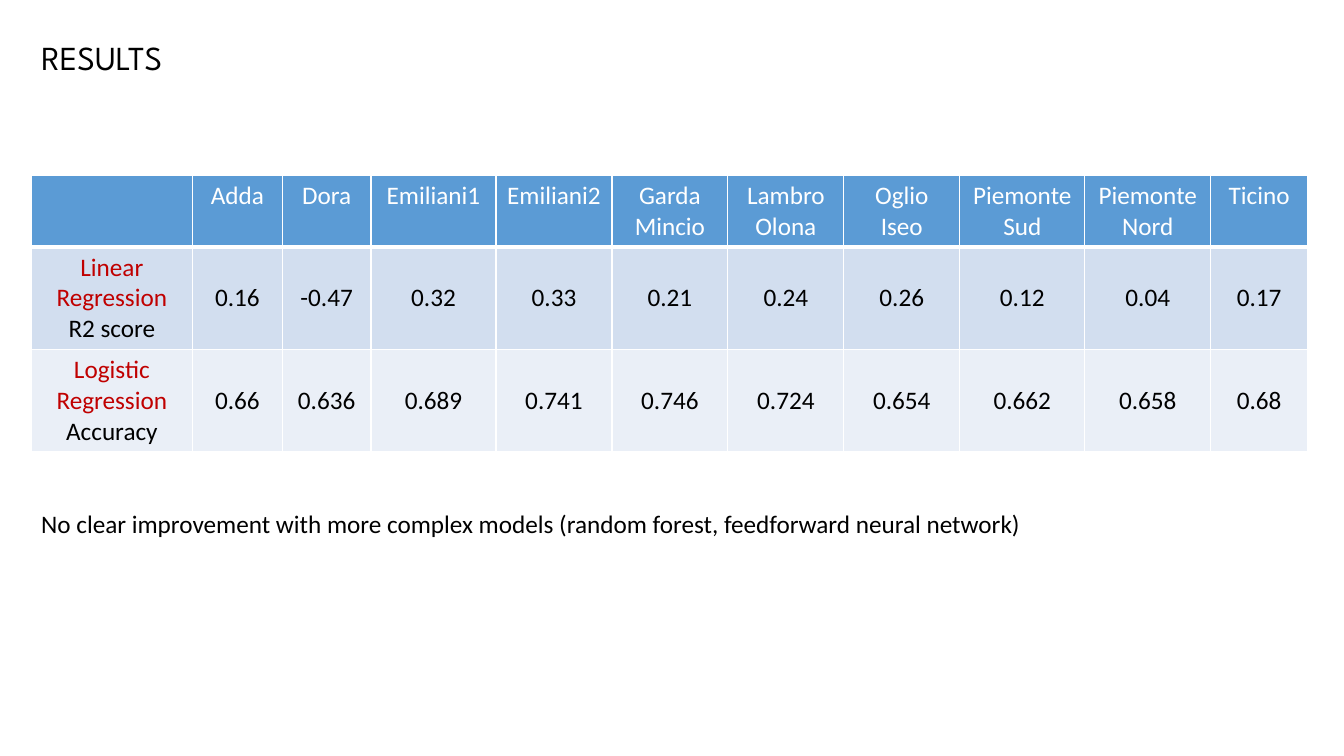
from lxml.etree import SubElement
from pptx import Presentation
from pptx.dml.color import RGBColor as RGB
from pptx.enum.text import MSO_ANCHOR as ANCHOR, MSO_AUTO_SIZE as AUTO, PP_ALIGN as ALIGN
from pptx.oxml.ns import qn
from pptx.util import Inches, Pt

COLORS = {"header": "5B9BD5", "band1": "D2DEEF", "band2": "EAEFF7",
          "model": "C00000", "text": "000000", "white": "FFFFFF"}
BODY_FONT, TITLE_FONT = "Calibri", "League Spartan"
LEFT = 0.31

COL_WIDTHS = [1.6, 0.89, 0.88, 1.24, 1.15, 1.15, 1.15, 1.15, 1.24, 1.25, 0.96]
ROW_HEIGHTS = [0.71, 0.99, 0.99]
BASINS = [["Adda"], ["Dora"], ["Emiliani1"], ["Emiliani2"], ["Garda", "Mincio"],
          ["Lambro", "Olona"], ["Oglio", "Iseo"], ["Piemonte Sud"],
          ["Piemonte Nord"], ["Ticino"]]
MODELS = [
    (["Linear", "Regression", "R2 score"],
     ["0.16", "-0.47", "0.32", "0.33", "0.21", "0.24", "0.26", "0.12", "0.04", "0.17"]),
    (["Logistic", "Regression", "Accuracy"],
     ["0.66", "0.636", "0.689", "0.741", "0.746", "0.724", "0.654", "0.662", "0.658", "0.68"]),
]


def add_run(p, text, color="text", size=18, font=BODY_FONT):
    r = p.add_run()
    r.text = text
    r.font.name, r.font.size, r.font.bold = font, Pt(size), False
    r.font.color.rgb = RGB.from_string(COLORS[color])


def set_borders(cell, bottom=1):
    tc_pr = cell._tc.get_or_add_tcPr()
    for side, width in (("L", 1), ("R", 1), ("T", 1), ("B", bottom)):
        ln = SubElement(tc_pr, qn(f"a:ln{side}"), w=str(Pt(width)))
        fill = SubElement(ln, qn("a:solidFill"))
        SubElement(fill, qn("a:srgbClr"), val=COLORS["white"])


def fill_cell(cell, lines, fill, colors, anchor=ANCHOR.MIDDLE, bottom=1):
    """Write one centred paragraph per line, each in its own colour."""
    set_borders(cell, bottom)
    cell.fill.solid()
    cell.fill.fore_color.rgb = RGB.from_string(COLORS[fill])
    cell.vertical_anchor = anchor
    tf = cell.text_frame
    for i, (line, color) in enumerate(zip(lines, colors)):
        p = tf.add_paragraph() if i else tf.paragraphs[0]
        p.alignment = ALIGN.CENTER
        add_run(p, line, color)


def add_title(s, text, left, top, width, height):
    sp = s.shapes.title
    sp.left, sp.top, sp.width, sp.height = map(Inches, (left, top, width, height))
    tf = sp.text_frame
    tf.auto_size, tf.vertical_anchor = AUTO.NONE, ANCHOR.MIDDLE
    p = tf.paragraphs[0]
    p.alignment, p.line_spacing = ALIGN.LEFT, 0.9
    add_run(p, text, size=24, font=TITLE_FONT)


def add_scores(s, left, top):
    box = map(Inches, (left, top, sum(COL_WIDTHS), sum(ROW_HEIGHTS)))
    table = s.shapes.add_table(len(ROW_HEIGHTS), len(COL_WIDTHS), *box).table
    for col, width in zip(table.columns, COL_WIDTHS):
        col.width = Inches(width)
    for row, height in zip(table.rows, ROW_HEIGHTS):
        row.height = Inches(height)
    for c, lines in enumerate([[]] + BASINS):
        fill_cell(table.cell(0, c), lines, "header", ["white"] * 2, ANCHOR.TOP, bottom=3)
    for r, (model, scores) in enumerate(MODELS, 1):
        band = f"band{r}"
        fill_cell(table.cell(r, 0), model, band, ["model", "model", "text"])
        for c, score in enumerate(scores, 1):
            fill_cell(table.cell(r, c), [score], band, ["text"])


def add_note(s, text, left, top, width, height):
    tf = s.shapes.add_textbox(*map(Inches, (left, top, width, height))).text_frame
    tf.word_wrap, tf.auto_size = False, AUTO.SHAPE_TO_FIT_TEXT
    add_run(tf.paragraphs[0], text)


def main():
    prs = Presentation()
    prs.slide_width, prs.slide_height = Inches(13.33), Inches(7.5)
    s = prs.slides.add_slide(prs.slide_layouts[5])
    add_title(s, "RESULTS", LEFT, 0.37, 12.11, 0.44)
    add_scores(s, LEFT, 1.74)
    add_note(s, "No clear improvement with more complex models "
                "(random forest, feedforward neural network)", LEFT, 4.99, 9.95, 0.4)
    prs.save("out.pptx")


if __name__ == "__main__":
    main()
